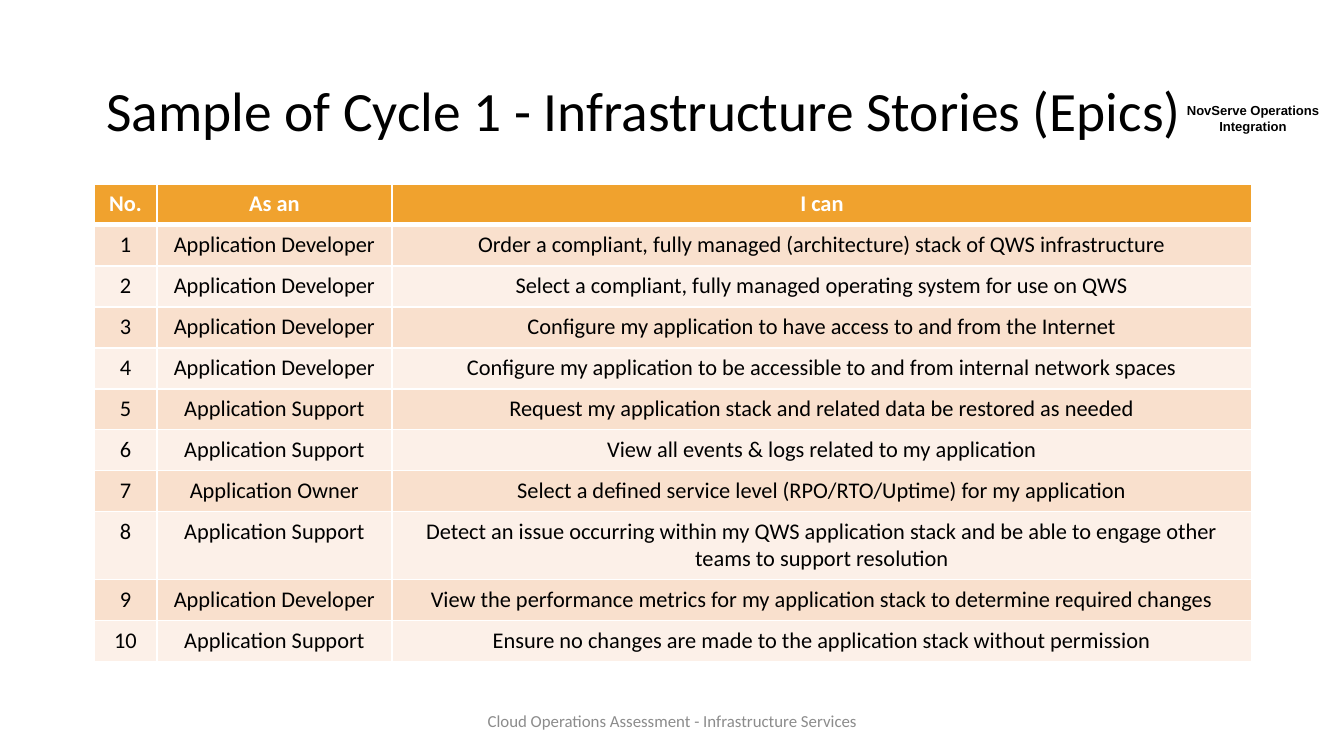
from lxml import etree
from pptx import Presentation
from pptx.dml.color import RGBColor
from pptx.enum import text
from pptx.oxml.ns import qn
from pptx.util import Emu, Pt

PX_PER_INCH = 134.4
COLORS = {
    "black": "000000", "white": "FFFFFF", "grey": "8C8C8C",
    "header": "F0A22E", "odd": "F9E0CD", "even": "FCF0E8",
}
DEVELOPER, SUPPORT, OWNER = (
    f"Application {role}" for role in ("Developer", "Support", "Owner"))
STORIES = [
    (DEVELOPER, "Order a compliant, fully managed (architecture) stack of QWS infrastructure"),
    (DEVELOPER, "Select a compliant, fully managed operating system for use on QWS"),
    (DEVELOPER, "Configure my application to have access to and from the Internet"),
    (DEVELOPER, "Configure my application to be accessible to and from internal network spaces"),
    (SUPPORT, "Request my application stack and related data be restored as needed"),
    (SUPPORT, "View all events & logs related to my application"),
    (OWNER, "Select a defined service level (RPO/RTO/Uptime) for my application"),
    (SUPPORT, "Detect an issue occurring within my QWS application stack and be able "
              "to engage other teams to support resolution"),
    (DEVELOPER, "View the performance metrics for my application stack to determine required changes"),
    (SUPPORT, "Ensure no changes are made to the application stack without permission"),
]


def px(n):
    return Emu(round(n * 914400 / PX_PER_INCH))


def color(name):
    return RGBColor.from_string(COLORS[name])


def format_paragraph(p, size, color_name, bold=False, font="Calibri",
                     align=text.PP_ALIGN.CENTER):
    p.alignment = align
    p.font.name, p.font.size, p.font.bold = font, Pt(size), bold
    p.font.color.rgb = color(color_name)


def add_title(slide, x, y, w, h, wording):
    sp = slide.shapes.title
    sp.left, sp.top, sp.width, sp.height = map(px, (x, y, w, h))
    tf = sp.text_frame
    tf.text = wording
    tf.word_wrap = True
    tf.auto_size = text.MSO_AUTO_SIZE.NONE
    tf.vertical_anchor = text.MSO_ANCHOR.MIDDLE
    p = tf.paragraphs[0]
    format_paragraph(p, 29.7, "black", align=text.PP_ALIGN.LEFT)
    p.line_spacing = 0.9


def add_label(slide, x, y, w, h, wording, anchor, **style):
    tf = slide.shapes.add_textbox(*map(px, (x, y, w, h))).text_frame
    tf.word_wrap = True
    tf.margin_left = tf.margin_right = px(6)
    tf.vertical_anchor = anchor
    tf.text = wording
    format_paragraph(tf.paragraphs[0], **style)


def set_borders(cell, top, bottom):
    """Give the cell white edges; widths are in points."""
    tc_pr = cell._tc.get_or_add_tcPr()
    edges = (("lnL", 1), ("lnR", 1), ("lnT", top), ("lnB", bottom))
    for i, (tag, width) in enumerate(edges):
        ln = etree.Element(qn(f"a:{tag}"), w=str(Pt(width)))
        fill = etree.SubElement(ln, qn("a:solidFill"))
        etree.SubElement(fill, qn("a:srgbClr"), val=COLORS["white"])
        tc_pr.insert(i, ln)


def add_stories_table(slide, x, y, col_widths, row_height, tall_rows):
    rows = [("No.", "As an", "I can")]
    rows += [(str(n), *story) for n, story in enumerate(STORIES, 1)]
    heights = [tall_rows.get(r, row_height) for r in range(len(rows))]
    table = slide.shapes.add_table(
        len(rows), len(col_widths),
        *map(px, (x, y, sum(col_widths), sum(heights)))).table
    for column, width in zip(table.columns, col_widths):
        column.width = px(width)
    for r, (row, height) in enumerate(zip(rows, heights)):
        table.rows[r].height = px(height)
        is_header = r == 0
        fill = "header" if is_header else ("even", "odd")[r % 2]
        for c, wording in enumerate(row):
            cell = table.cell(r, c)
            cell.text = wording
            cell.fill.solid()
            cell.fill.fore_color.rgb = color(fill)
            format_paragraph(cell.text_frame.paragraphs[0], 12,
                             "white" if is_header else "black", bold=is_header)
            # The rule under the header is heavier
            set_borders(cell, top=3 if r == 1 else 1, bottom=3 if is_header else 1)


def main():
    prs = Presentation()
    prs.slide_width, prs.slide_height = px(1344), px(756)
    slide = prs.slides.add_slide(prs.slide_layouts[5])

    # Heading and team name
    add_title(slide, 93, 40, 1158, 147,
              "Sample of Cycle 1 - Infrastructure Stories (Epics)")
    add_label(slide, 1174, 96, 158, 60, "NovServe Operations Integration",
              text.MSO_ANCHOR.TOP, size=7, color_name="black", bold=True, font="Arial")

    # Footer
    add_label(slide, 445, 701, 454, 40,
              "Cloud Operations Assessment - Infrastructure Services",
              text.MSO_ANCHOR.MIDDLE, size=9, color_name="grey")

    # User stories
    add_stories_table(slide, 94, 184, (63, 235, 860), 41, tall_rows={8: 68})

    prs.save("out.pptx")


if __name__ == "__main__":
    main()
